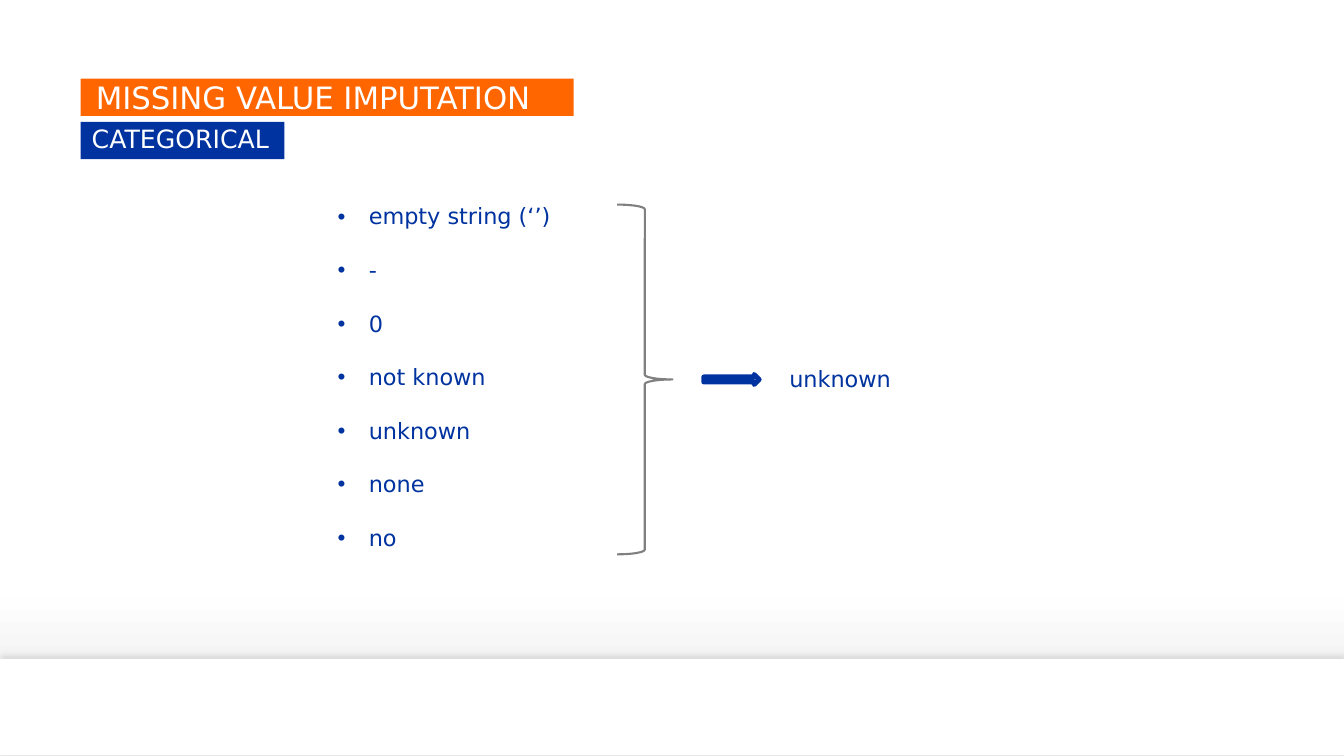
from dataclasses import dataclass

from lxml import etree
from pptx import Presentation
from pptx.dml.color import RGBColor
from pptx.enum.shapes import MSO_SHAPE
from pptx.enum.text import MSO_ANCHOR
from pptx.oxml.ns import qn
from pptx.util import Inches, Pt

RECTANGLE = MSO_SHAPE.RECTANGLE
RIGHT_ARROW = MSO_SHAPE.RIGHT_ARROW
RIGHT_BRACE = MSO_SHAPE.RIGHT_BRACE
TOP = MSO_ANCHOR.TOP
MIDDLE = MSO_ANCHOR.MIDDLE
BOTTOM = MSO_ANCHOR.BOTTOM


@dataclass(frozen=True)
class Theme:
    font: str = "DejaVu Sans"
    orange: str = "FF6600"
    blue: str = "00339F"
    arrow_blue: str = "0033A0"
    gray: str = "808080"
    white: str = "FFFFFF"
    black: str = "000000"
    backdrop: tuple = ((0, "FFFFFF"), (79, "FEFEFE"), (92, "EDEDED"))
    title_size: int = 22
    subtitle_size: int = 18
    body_size: int = 16


THEME = Theme()
MISSING_VALUES = ["empty string (‘’)", "-", "0", "not known", "unknown", "none", "no"]


def add_element(parent, tag, **attributes):
    return etree.SubElement(parent, qn(tag), **attributes)


def add_plain_shape(slide, kind, box, fill=None, line=None, line_width=0):
    shape = slide.shapes.add_shape(kind, *map(Inches, box))
    shape.shadow.inherit = False
    if fill:
        shape.fill.solid()
        shape.fill.fore_color.rgb = RGBColor.from_string(fill)
    else:
        shape.fill.background()
    if line:
        shape.line.color.rgb = RGBColor.from_string(line)
        shape.line.width = Pt(line_width)
    else:
        shape.line.fill.background()
    return shape


def set_insets(text_frame, left, top, right, bottom):
    text_frame.margin_left = Inches(left)
    text_frame.margin_top = Inches(top)
    text_frame.margin_right = Inches(right)
    text_frame.margin_bottom = Inches(bottom)


def format_paragraph(paragraph, size, color, line_spacing=0.95):
    paragraph.line_spacing = line_spacing
    paragraph.font.size = Pt(size)
    for run in paragraph.runs:
        run.font.name = THEME.font
        run.font.size = Pt(size)
        run.font.color.rgb = RGBColor.from_string(color)


def add_backdrop(slide, box):
    fill = slide.background.fill
    fill.gradient()
    fill.gradient_angle = 270
    stops = next(slide.element.iter(qn("a:gsLst")))
    for stop in list(stops):
        stops.remove(stop)
    for position, color in THEME.backdrop:
        stop = add_element(stops, "a:gs", pos=str(position * 1000))
        add_element(stop, "a:srgbClr", val=color)

    left, top, width, height = box
    footer = add_plain_shape(slide, RECTANGLE, (left, top + height - 0.96, width, 0.95), THEME.white)
    effects = footer.element.spPr.find(qn("a:effectLst"))
    shadow = add_element(effects, "a:outerShdw", blurRad=str(Pt(4)), dist=str(Pt(3)),
                         dir="16200000", algn="b", rotWithShape="0")
    color = add_element(shadow, "a:srgbClr", val=THEME.black)
    add_element(color, "a:alpha", val="10000")


def add_banner(slide, box, text, fill, size, indent, anchor, line_spacing):
    banner = add_plain_shape(slide, RECTANGLE, box, fill)
    text_frame = banner.text_frame
    text_frame.text = text
    text_frame.word_wrap = True
    text_frame.vertical_anchor = anchor
    set_insets(text_frame, indent, 0.04, 0, 0)
    paragraph = text_frame.paragraphs[0]
    paragraph.alignment = 1
    format_paragraph(paragraph, size, THEME.white, line_spacing)


def add_heading(slide, box):
    left, top, width, height = box
    add_banner(slide, (left, top, width, height), "MISSING VALUE IMPUTATION",
               THEME.orange, THEME.title_size, 0.15, BOTTOM, 0.9)
    add_banner(slide, (left, top + 0.43, 2.02, height), "CATEGORICAL",
               THEME.blue, THEME.subtitle_size, 0.11, TOP, 0.95)


def add_text(slide, box, lines, anchor):
    text_box = slide.shapes.add_textbox(*map(Inches, box))
    text_frame = text_box.text_frame
    text_frame.text = "\n".join(lines)
    text_frame.word_wrap = True
    text_frame.vertical_anchor = anchor
    set_insets(text_frame, 0.1, 0.05, 0.1, 0.05)
    return text_frame.paragraphs


def add_value_list(slide, box):
    for index, paragraph in enumerate(add_text(slide, box, MISSING_VALUES, TOP)):
        properties = paragraph._p.get_or_add_pPr()
        properties.set("marL", str(Inches(0.31)))
        properties.set("indent", str(Inches(-0.31)))
        add_element(properties, "a:buFont", typeface="Arial")
        add_element(properties, "a:buChar", char="•")
        paragraph.space_before = Pt(10 if index else 0)
        paragraph.space_after = Pt(10)
        format_paragraph(paragraph, THEME.body_size, THEME.blue)


def add_replacement(slide, box):
    left, top, width, height = box
    center = top + height / 2
    add_plain_shape(slide, RIGHT_BRACE, (left, top, 0.55, height), line=THEME.gray, line_width=1.5)
    add_plain_shape(slide, RIGHT_ARROW, (left + 0.86, center - 0.05, 0.55, 0.1),
                    THEME.white, THEME.arrow_blue, 3.5)
    label_left = 1.61
    label_box = (left + label_left, center - 0.2, width - label_left, 0.4)
    for paragraph in add_text(slide, label_box, ["unknown"], MIDDLE):
        format_paragraph(paragraph, THEME.body_size, THEME.blue)


def main():
    presentation = Presentation()
    presentation.slide_width = Inches(13.33)
    presentation.slide_height = Inches(7.5)
    slide = presentation.slides.add_slide(presentation.slide_layouts[6])
    add_backdrop(slide, (0, 0, 13.33, 7.5))
    add_value_list(slide, (3.25, 1.98, 2.7, 3.8))
    add_heading(slide, (0.8, 0.78, 4.89, 0.37))
    add_replacement(slide, (6.12, 2.03, 3.2, 3.47))
    presentation.save("out.pptx")


if __name__ == "__main__":
    main()
